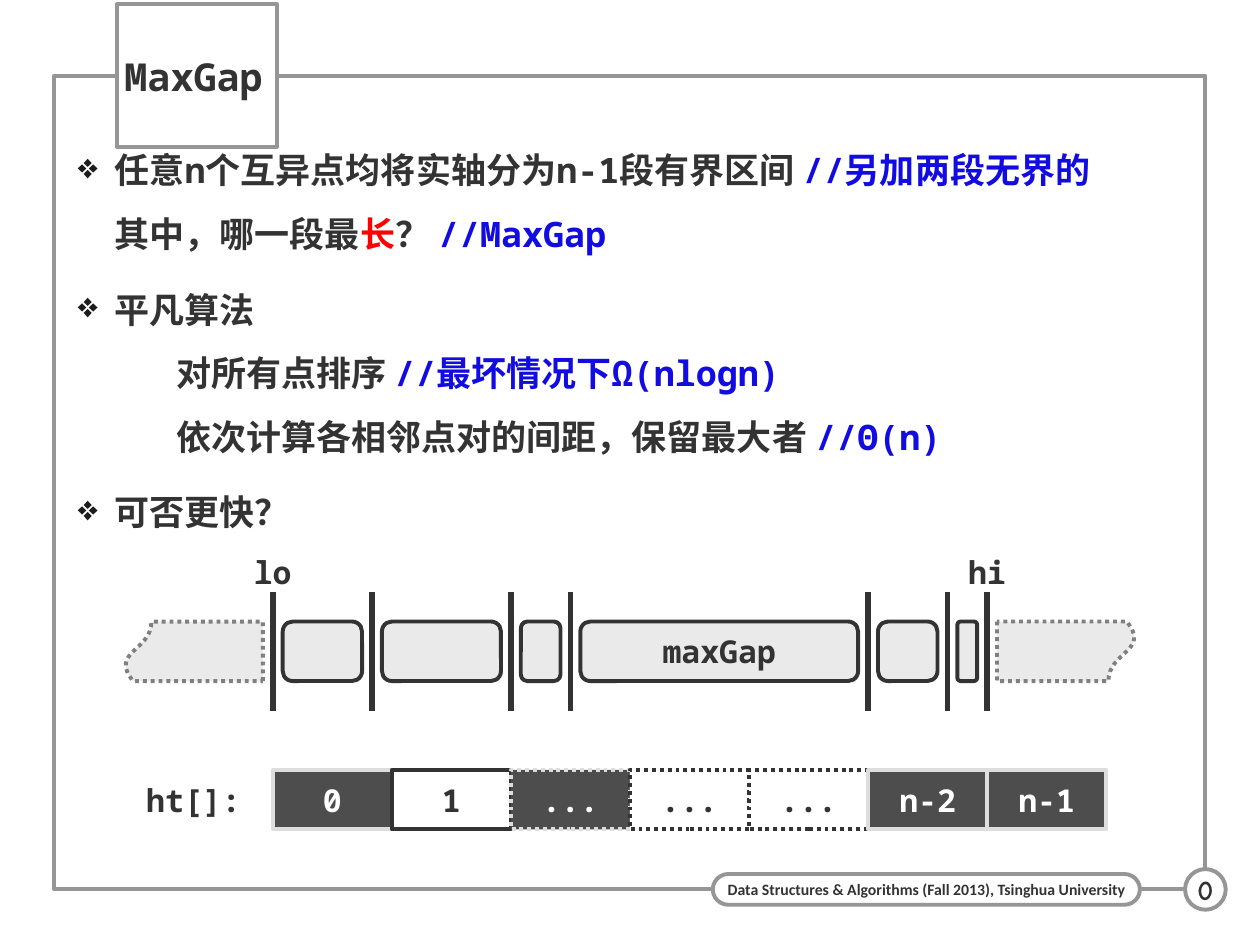
from itertools import pairwise
from lxml.etree import SubElement
from pptx import Presentation
from pptx.dml.color import RGBColor as Rgb
from pptx.enum.dml import MSO_LINE as Dash
from pptx.enum.shapes import MSO_CONNECTOR as Link, MSO_SHAPE as Kind
from pptx.enum.text import MSO_ANCHOR as Anchor, PP_ALIGN as Align
from pptx.oxml.ns import qn
from pptx.util import Cm, Pt

INK = {"text": "333333", "frame": "969696", "white": "FFFFFF", "note": "120CE0",
       "hot": "FF0000", "bullet": "1C1C1C", "pale": "EAEAEA", "edge": "808080",
       "dark": "4D4D4D", "light": "DDDDDD"}
MONO = "Noto Sans Mono"
ROW = 1.2    # height of gaps and cells, cm
CELL = 2.4   # width of a cell and height of a wall, cm

POINTS = [
    [[("任意n个互异点均将实轴分为n-1段有界区间 ", "text"), ("//另加两段无界的", "note")],
     [("其中，哪一段最", "text"), ("长", "hot"), ("？ ", "text"), ("//MaxGap", "note")]],
    [[("平凡算法", "text")],
     [("\t对所有点排序 ", "text"), ("//最坏情况下Ω(nlogn)", "note")],
     [("\t依次计算各相邻点对的间距，保留最大者 ", "text"), ("//Θ(n)", "note")]],
    [[("可否更快？", "text")]],
]
WALLS = [0, 2, 4.8, 6, 12, 13.6, 14.4]
CELLS = [("0", True, False), ("1", False, False), ("...", True, True),
         ("...", False, True), ("...", False, True),
         ("n-2", True, False), ("n-1", True, False)]


def tint(name):
    return Rgb.from_string(INK[name])


def style(font, size, ink="text", face=MONO):
    font.size, font.name, font.bold = Pt(size), face, True
    font.color.rgb = tint(ink)


def label(shape, text, size, ink="text", face=MONO, align=Align.CENTER, pad=0):
    frame = shape.text_frame
    frame.word_wrap = False
    frame.vertical_anchor = Anchor.MIDDLE
    frame.margin_left = frame.margin_right = Cm(pad)
    frame.margin_top = frame.margin_bottom = 0
    para = frame.paragraphs[0]
    para.text, para.alignment = text, align
    style(para.font, size, ink, face)


def block(slide, kind, box, fill=None, line=None, dotted=False, adj=None):
    shape = slide.shapes.add_shape(kind, *map(Cm, box))
    shape.shadow.inherit = False
    if adj is not None:
        shape.adjustments[0] = adj
    if fill:
        shape.fill.solid()
        shape.fill.fore_color.rgb = tint(fill)
    else:
        shape.fill.background()
    if line:
        shape.line.color.rgb = tint(line)
        shape.line.width = Pt(2.25)
        if dotted:
            shape.line.dash_style = Dash.ROUND_DOT
    else:
        shape.line.fill.background()
    return shape


def border(slide, x, y, w, h):
    """Draw the page frame with the course name and page number on its lower edge."""
    block(slide, Kind.RECTANGLE, (x, y, w, h), line="frame")
    low = y + h
    foot = block(slide, Kind.ROUNDED_RECTANGLE, (x + 13.28, low - 0.31, 8.61, 0.62),
                 "white", "frame", adj=0.5)
    label(foot, "Data Structures & Algorithms (Fall 2013), Tsinghua University", 9,
          face="Calibri", pad=0.15)
    page = block(slide, Kind.OVAL, (x + w - 0.41, low - 0.41, 0.82, 0.82), "white", "frame")
    label(page, "0", 16, face="Comic Neue")


def title(slide, x, y, w, h):
    plate = block(slide, Kind.RECTANGLE, (x, y, w, h), "white", "frame")
    label(plate, "MaxGap", 22, align=Align.LEFT, pad=0.15)


def bullet(para):
    """Add a hanging diamond bullet and the tab stops."""
    props = para._p.get_or_add_pPr()
    props.set("marL", str(Cm(0.74)))
    props.set("indent", str(Cm(-0.74)))
    tone = SubElement(props, qn("a:buClr"))
    SubElement(tone, qn("a:srgbClr"), val=INK["bullet"])
    SubElement(props, qn("a:buChar"), char="❖")
    tabs = SubElement(props, qn("a:tabLst"))
    for stop in (0.74, 1.98, 2.97, 4.5):
        SubElement(tabs, qn("a:tab"), pos=str(Cm(stop)), algn="l")


def body(slide, x, y, w, h):
    frame = slide.shapes.add_textbox(*map(Cm, (x, y, w, h))).text_frame
    frame.word_wrap = False
    frame.margin_left, frame.margin_top = Cm(0.4), Cm(0.26)
    for i, lines in enumerate(POINTS):
        para = frame.add_paragraph() if i else frame.paragraphs[0]
        para.line_spacing = Pt(36.3)
        para.space_before = Pt(7 if i else 0)
        style(para.font, 20)
        bullet(para)
        for j, parts in enumerate(lines):
            if j:
                para.add_line_break()
            for text, ink in parts:
                run = para.add_run()
                run.text = text
                style(run.font, 20, ink)


def wall(slide, x, y):
    line = slide.shapes.add_connector(Link.STRAIGHT, Cm(x), Cm(y), Cm(x), Cm(y + CELL))
    line.line.color.rgb = tint("text")
    line.line.width = Pt(3.25)
    SubElement(line._element.spPr, qn("a:effectLst"))


def tail(slide, mid, y, turn):
    """Draw an unbounded end piece, centred at mid."""
    long = 2.8
    shape = block(slide, Kind.FLOWCHART_DOCUMENT,
                  (mid - ROW / 2, y + (ROW - long) / 2, ROW, long),
                  "pale", "edge", dotted=True)
    shape.rotation = turn
    shape._element.spPr.xfrm.set("flipH", "1")


def axis(slide, x, y):
    """Draw the walls from x, the gaps between them and the open ends."""
    top, gap = y + (CELL - ROW) / 2, 0.2
    end = x + WALLS[-1]
    tail(slide, x - 1.6, top, 90)
    tail(slide, end + 1.6, top, 270)
    widest = max(b - a for a, b in pairwise(WALLS))
    for a, b in pairwise(WALLS):
        box = (x + a + gap, top, b - a - 2 * gap, ROW)
        part = block(slide, Kind.ROUNDED_RECTANGLE, box, "pale", "text", adj=0.167)
        if b - a == widest:
            label(part, "maxGap", 18)
    for a in WALLS:
        wall(slide, x + a, y)
    for text, mid in (("lo", x), ("hi", end)):
        label(block(slide, Kind.OVAL, (mid - 0.4, y - 0.8, 0.8, 0.8)), text, 18)


def table(slide, x, y):
    """Draw the row of hash cells, with its name to the left."""
    name = slide.shapes.add_textbox(Cm(x - 2.8), Cm(y), Cm(CELL), Cm(ROW))
    label(name, "ht[]:", 18)
    for i, (text, full, dotted) in enumerate(CELLS):
        fill, line, ink = ("dark", "light", "white") if full else ("white", "text", "text")
        cell = block(slide, Kind.RECTANGLE, (x + i * CELL, y, CELL, ROW), fill, line, dotted)
        label(cell, text, 18, ink)


def main():
    deck = Presentation()
    deck.slide_width, deck.slide_height = Cm(25.4), Cm(19.05)
    slide = deck.slides.add_slide(deck.slide_layouts[6])
    border(slide, 1.09, 1.53, 23.21, 16.4)
    title(slide, 2.36, 0.09, 3.22, 2.87)
    body(slide, 1.17, 2.31, 23.14, 15.01)
    axis(slide, 5.5, 11.93)
    table(slide, 5.5, 15.52)
    deck.save("out.pptx")


if __name__ == "__main__":
    main()
